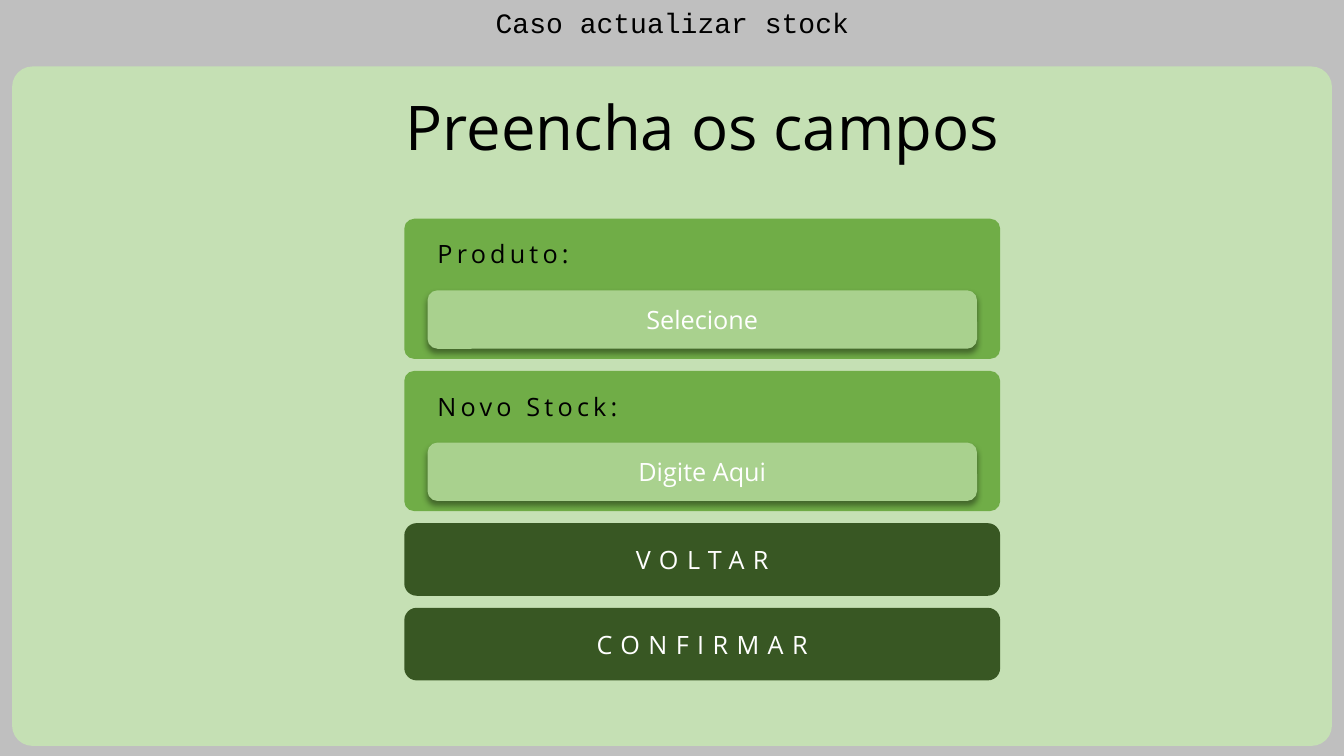
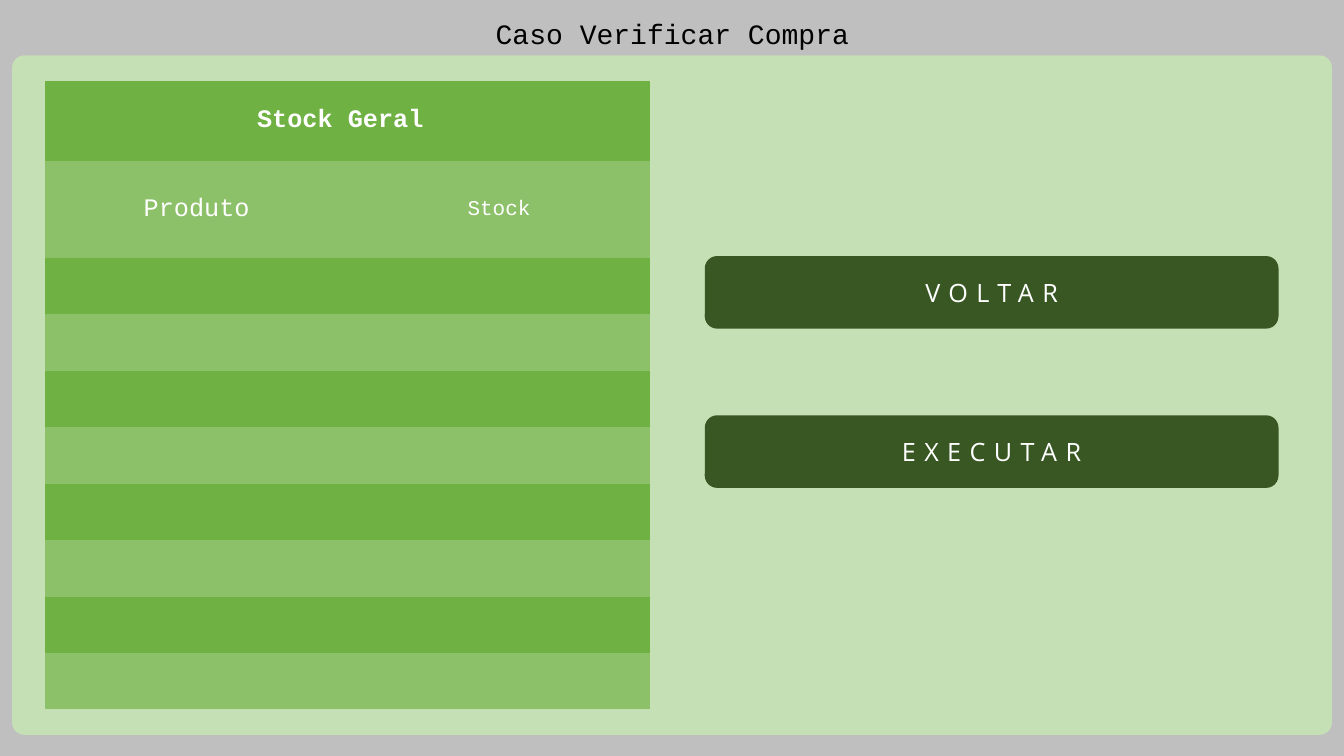
import pptx
import pptx.util
import pptx.dml.color
import pptx.enum.shapes
import pptx.enum.text
import pptx.oxml
import pptx.oxml.ns

Inches = pptx.util.Inches
Pt = pptx.util.Pt
RGBColor = pptx.dml.color.RGBColor
PP_ALIGN = pptx.enum.text.PP_ALIGN
MSO_ANCHOR = pptx.enum.text.MSO_ANCHOR

BLACK = RGBColor(0x00, 0x00, 0x00)
WHITE = RGBColor(0xFF, 0xFF, 0xFF)
GREY = RGBColor(0xBF, 0xBF, 0xBF)
PANEL = RGBColor(0xC5, 0xE0, 0xB4)
FIELD = RGBColor(0x70, 0xAD, 0x47)
INPUT = RGBColor(0xA9, 0xD1, 0x8E)
BUTTON = RGBColor(0x38, 0x57, 0x23)
ROW_DARK = RGBColor(0x6F, 0xB1, 0x43)
ROW_LIGHT = RGBColor(0x8C, 0xC1, 0x69)

MONO = "Courier New"
SANS = "Open Sans"
NO_GRID_STYLE = "{2D5ABB26-0587-4C30-8999-92F81FD0307C}"
SHADOW = (
    '<a:outerShdw %s blurRad="50800" dist="38100" dir="5400000" rotWithShape="0">'
    '<a:srgbClr val="000000"><a:alpha val="40000"/></a:srgbClr></a:outerShdw>'
    % pptx.oxml.ns.nsdecls("a")
)


def write(tf, text, size=18, font=SANS, color=WHITE, align=PP_ALIGN.CENTER,
          spacing=0, bold=False):
    """Fill a text frame with one formatted line; spacing is in points."""
    tf.text = text
    tf.word_wrap = True
    p = tf.paragraphs[0]
    p.alignment = align
    r = p.runs[0]
    r.font.size = Pt(size)
    r.font.name = font
    r.font.bold = bold
    r.font.color.rgb = color
    if spacing:
        r.font._element.set("spc", str(spacing * 100))


def add_box(shapes, left, top, width, height, color, text="", spacing=0, corner=0.17):
    """Add a rounded rectangle without outline, with an optional centred label."""
    sp = shapes.add_shape(pptx.enum.shapes.MSO_SHAPE.ROUNDED_RECTANGLE,
                          Inches(left), Inches(top), Inches(width), Inches(height))
    sp.adjustments[0] = corner
    sp.fill.solid()
    sp.fill.fore_color.rgb = color
    sp.line.fill.background()
    sp.shadow.inherit = False
    if text:
        write(sp.text_frame, text, spacing=spacing)
        sp.text_frame.vertical_anchor = MSO_ANCHOR.MIDDLE
    return sp


prs = pptx.Presentation()
prs.slide_width = Inches(13.33)
prs.slide_height = Inches(7.5)
fill = prs.slide_master.background.fill
fill.solid()
fill.fore_color.rgb = GREY

# Frame of each slide: title, panel and buttons
FRAMES = [
    ("Caso actualizar stock", 0, 0.66, 0.03,
     4.01, 5.91, [("VOLTAR", 5.19), ("CONFIRMAR", 6.03)]),
    ("Caso Verificar Compra", 0.11, 0.55, 0.018,
     6.99, 5.69, [("VOLTAR", 2.54), ("EXECUTAR", 4.12)]),
]
slides = []
for title, title_top, panel_top, corner, left, width, buttons in FRAMES:
    s = prs.slides.add_slide(prs.slide_layouts[5])
    slides.append(s)
    sp = s.shapes.title
    sp.left, sp.top, sp.width, sp.height = (
        Inches(4.67), Inches(title_top), Inches(4), Inches(0.44))
    write(sp.text_frame, title, 20, MONO, BLACK)
    sp.text_frame.auto_size = pptx.enum.text.MSO_AUTO_SIZE.NONE
    add_box(s.shapes, 0.12, panel_top, 13.09, 6.74, PANEL, corner=corner)
    for label, top in buttons:
        add_box(s.shapes, left, top, width, 0.72, BUTTON, label, spacing=6)

form, stock = slides

# Form: heading and two labelled fields
sp = form.shapes.add_textbox(Inches(3.82), Inches(0.83), Inches(6.3), Inches(0.84))
write(sp.text_frame, "Preencha os campos", 44, color=BLACK)

for i, (label, hint) in enumerate([("Produto:", "Selecione"),
                                   ("Novo Stock:", "Digite Aqui")]):
    top = 2.17 + i * 1.51
    field = form.shapes.add_group_shape()
    add_box(field.shapes, 4.01, top, 5.91, 1.39, FIELD, corner=0.07)
    sp = field.shapes.add_textbox(Inches(4.24), Inches(top + 0.15),
                                  Inches(5.45), Inches(0.4))
    write(sp.text_frame, label, color=BLACK, align=PP_ALIGN.LEFT, spacing=3)
    sp = add_box(field.shapes, 4.24, top + 0.71, 5.45, 0.58, INPUT, hint)
    effects = sp._element.spPr.find(pptx.oxml.ns.qn("a:effectLst"))
    effects.append(pptx.oxml.parse_xml(SHADOW))

# Stock table
ROW_HEIGHTS = [0.8, 0.96] + [0.56] * 8
frame = stock.shapes.add_table(len(ROW_HEIGHTS), 2, Inches(0.45), Inches(0.8),
                               Inches(6), Inches(sum(ROW_HEIGHTS)))
table = frame.table
table._tbl.tblPr.find(pptx.oxml.ns.qn("a:tableStyleId")).text = NO_GRID_STYLE
for i, height in enumerate(ROW_HEIGHTS):
    table.rows[i].height = Inches(height)
    for cell in table.rows[i].cells:
        cell.fill.solid()
        cell.fill.fore_color.rgb = ROW_LIGHT if i % 2 else ROW_DARK
        cell.vertical_anchor = MSO_ANCHOR.MIDDLE
table.cell(0, 0).merge(table.cell(0, 1))
for row, col, text, size in [(0, 0, "Stock Geral ", 18),
                             (1, 0, "Produto", 18),
                             (1, 1, "Stock", 15)]:
    write(table.cell(row, col).text_frame, text, size, MONO, bold=row == 0)

prs.save("out.pptx")
